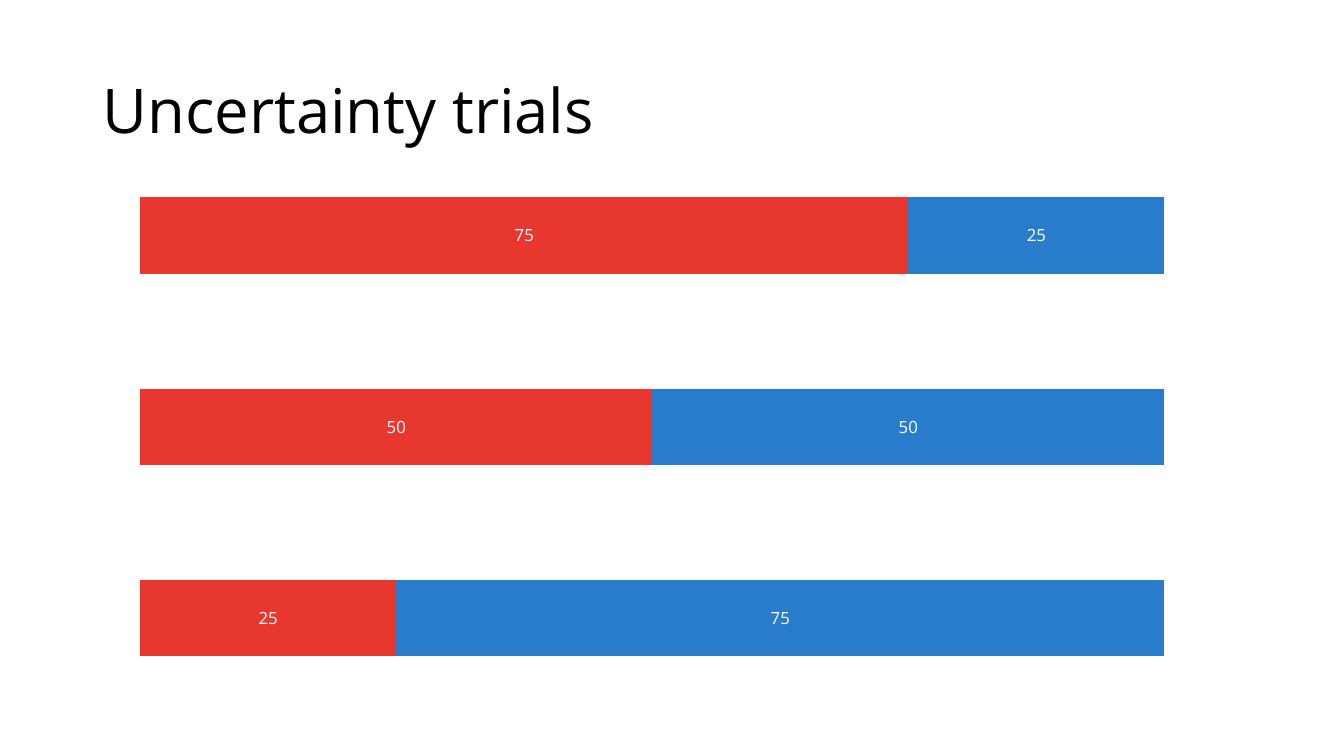
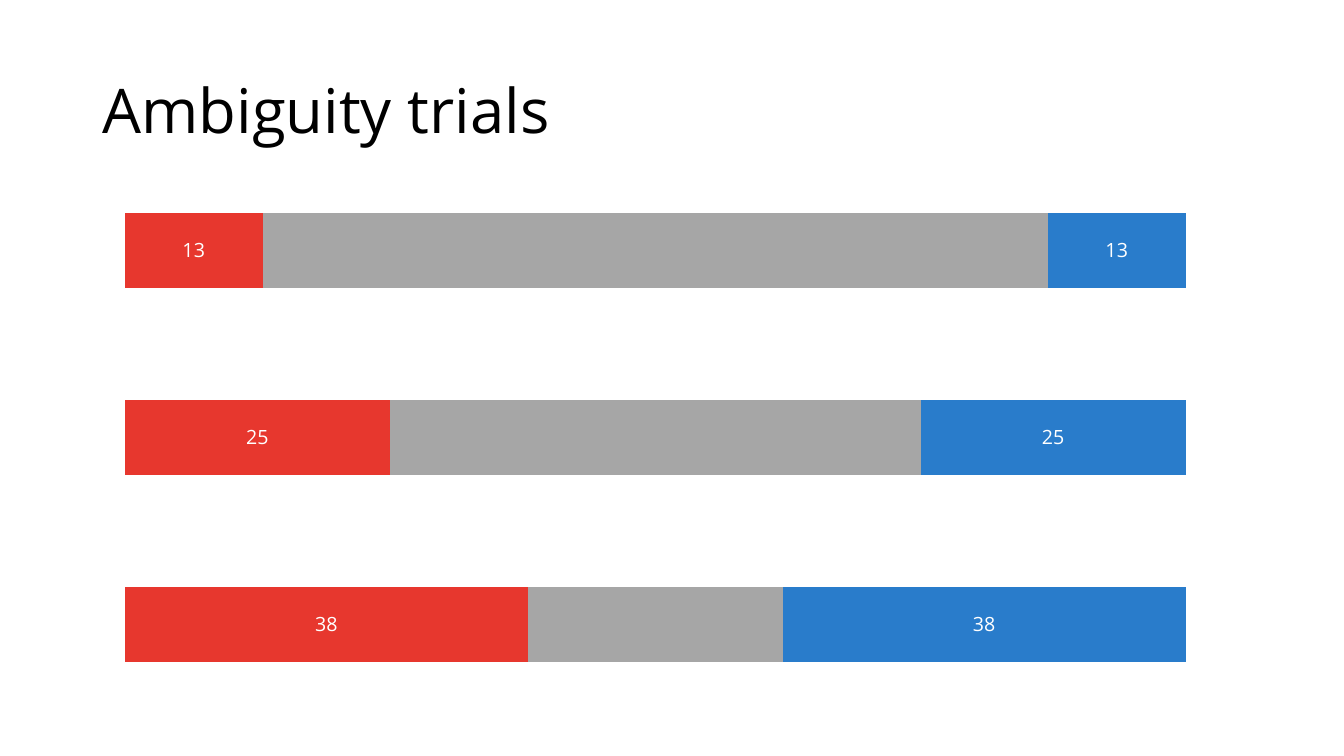
import pptx
import pptx.util
import pptx.chart.data
import pptx.dml.color
import pptx.enum.chart
import pptx.enum.text

Inches = pptx.util.Inches
Pt = pptx.util.Pt

FONT = "Open Sans"
COLORS = {
    "text": "000000",
    "label": "FFFFFF",
    "red": "E7372E",
    "unknown": "A6A6A6",
    "blue": "297CCB",
}


def style_font(font, size, color):
    font.name = FONT
    font.size = Pt(size)
    font.color.rgb = pptx.dml.color.RGBColor.from_string(COLORS[color])


trials = [
    {
        "title": "Uncertainty trials",
        "frame": (1.18, 1.27, 10.58, 5.93),
        "label_size": 12,
        "shares": [("red", (25, 50, 75)), ("blue", (75, 50, 25))],
    },
    {
        "title": "Ambiguity trials",
        "frame": (1.02, 1.44, 10.96, 5.8),
        "label_size": 14,
        "shares": [
            ("red", (38, 25, 13)),
            ("unknown", (24, 50, 74)),
            ("blue", (38, 25, 13)),
        ],
    },
]

deck = pptx.Presentation()
deck.slide_width = Inches(13.33)
deck.slide_height = Inches(7.5)
blank_layout = deck.slide_layouts[6]

for trial in trials:
    slide = deck.slides.add_slide(blank_layout)

    title = slide.shapes.add_textbox(
        Inches(0.92), Inches(0.4), Inches(11.5), Inches(1.45)
    ).text_frame
    title.word_wrap = True
    title.vertical_anchor = pptx.enum.text.MSO_ANCHOR.MIDDLE
    heading = title.paragraphs[0]
    heading.line_spacing = 0.9
    heading_run = heading.add_run()
    heading_run.text = trial["title"]
    style_font(heading_run.font, 44, "text")

    odds = pptx.chart.data.CategoryChartData()
    odds.categories = ["1", "2", "3"]
    for number, (color, values) in enumerate(trial["shares"], start=1):
        odds.add_series(f"Series {number}", values)

    bars = slide.shapes.add_chart(
        pptx.enum.chart.XL_CHART_TYPE.BAR_STACKED_100,
        *[Inches(length) for length in trial["frame"]],
        odds,
    ).chart
    bars.has_title = False
    bars.has_legend = False
    style_font(bars.font, 10, "text")
    for axis in (bars.category_axis, bars.value_axis):
        axis.visible = False
        axis.has_major_gridlines = False

    plot = bars.plots[0]
    plot.gap_width = 150
    plot.overlap = 100
    plot.vary_by_categories = False
    for share, (color, values) in zip(plot.series, trial["shares"]):
        share.format.fill.solid()
        share.format.fill.fore_color.rgb = pptx.dml.color.RGBColor.from_string(COLORS[color])
        if color != "unknown":
            labels = share.data_labels
            labels.show_value = True
            labels.position = pptx.enum.chart.XL_LABEL_POSITION.CENTER
            style_font(labels.font, trial["label_size"], "label")

deck.save("out.pptx")
